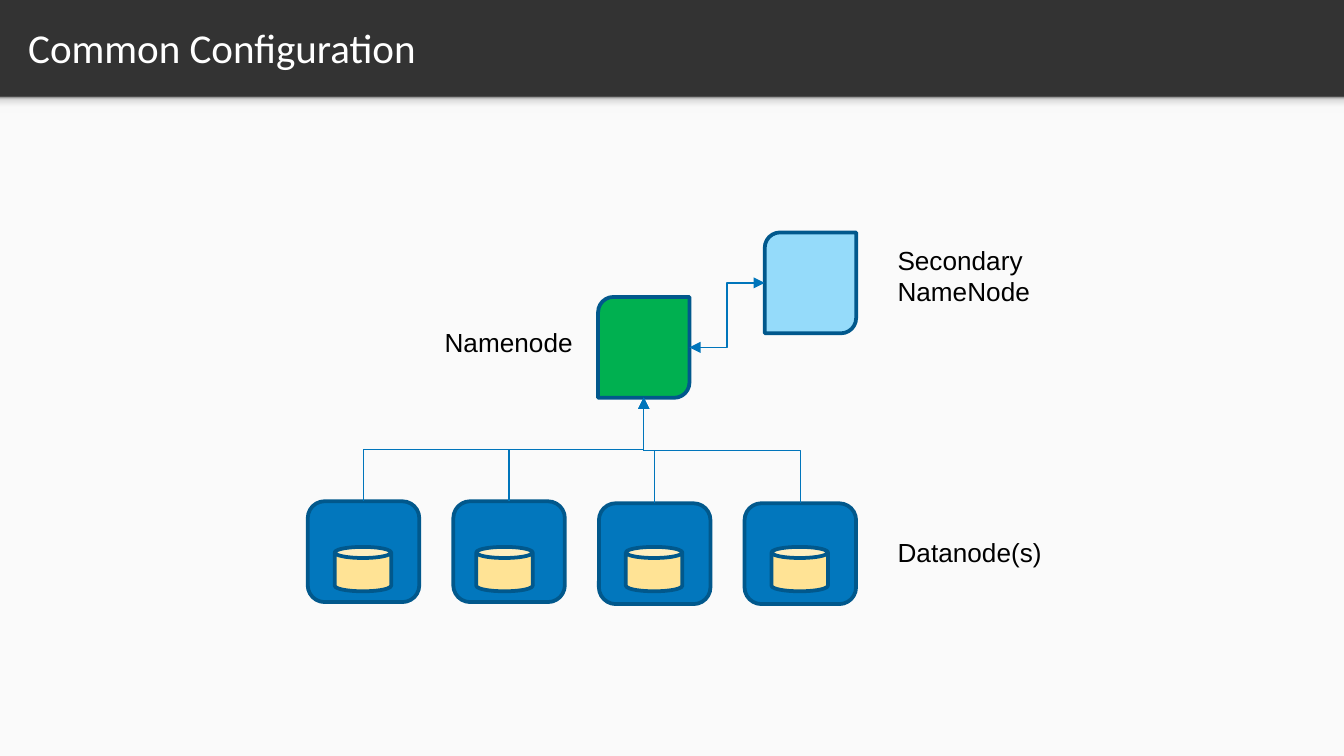
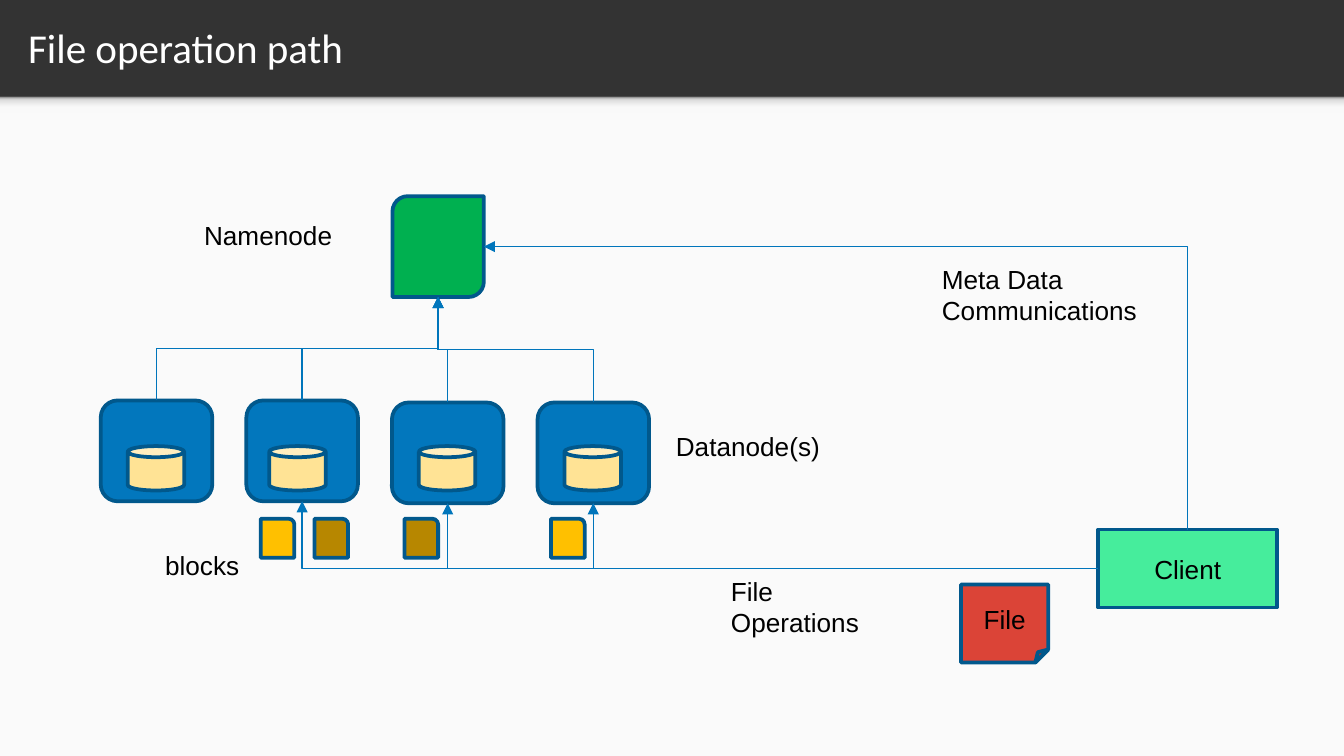
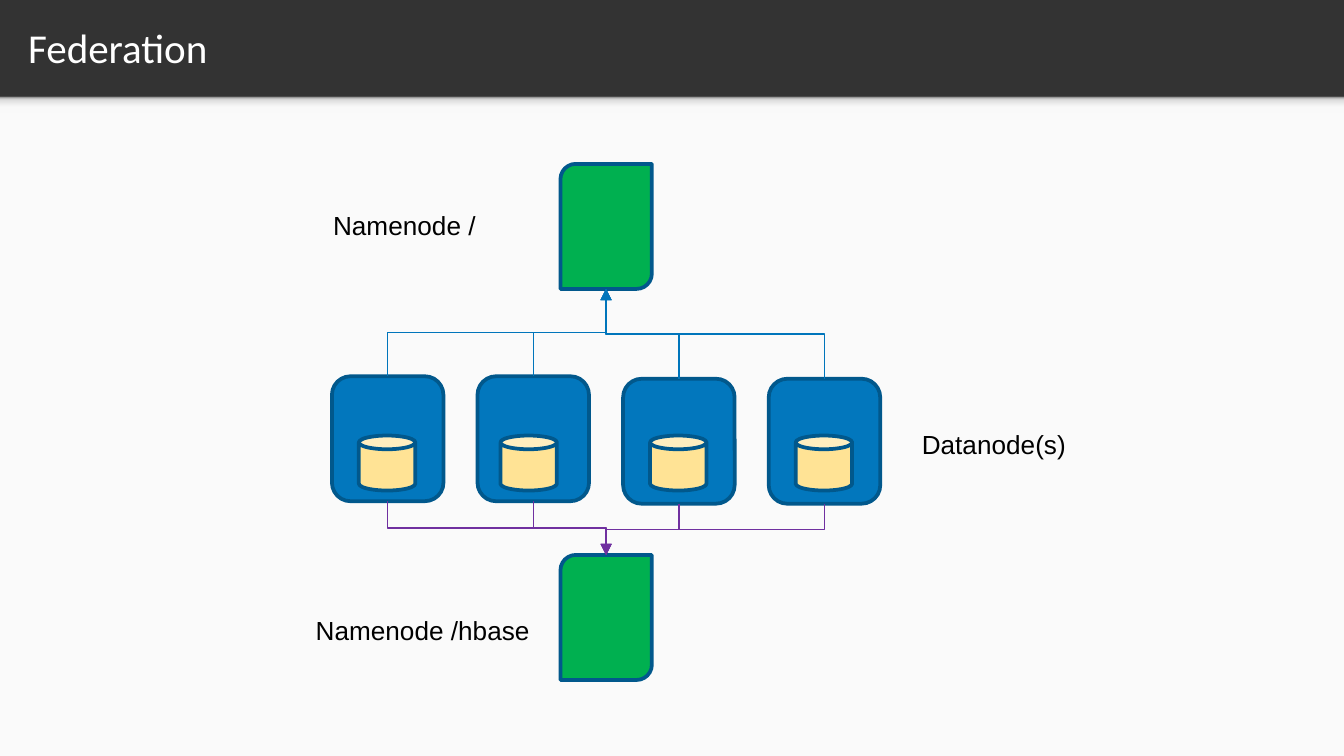
"""Build three slides on the layout of name nodes and data nodes."""
from lxml import etree
from pptx import Presentation
from pptx import util as u
from pptx.dml.color import RGBColor
from pptx.enum import shapes, text
from pptx.oxml.ns import qn

DARK = RGBColor(0x33, 0x33, 0x33)
PAPER = RGBColor(0xFA, 0xFA, 0xFA)
WHITE = RGBColor(0xFF, 0xFF, 0xFF)
BLACK = RGBColor(0, 0, 0)
OUTLINE = RGBColor(0x01, 0x58, 0x8C)
NODE_BLUE = RGBColor(0x02, 0x77, 0xBD)
LINK_BLUE = RGBColor(0x00, 0x75, 0xBB)
LINK_PURPLE = RGBColor(0x70, 0x30, 0xA0)
NAME_GREEN = RGBColor(0x00, 0xB0, 0x50)
PALE_BLUE = RGBColor(0x95, 0xDB, 0xFA)
DISK = RGBColor(0xFF, 0xE3, 0x95)
AMBER = RGBColor(0xFF, 0xC0, 0x00)
BROWN = RGBColor(0xB7, 0x87, 0x00)
FILE_RED = RGBColor(0xDB, 0x44, 0x37)
CLIENT_GREEN = RGBColor(0x46, 0xED, 0x9C)
SHADE_STOPS = [(0, "F9F9F9"), (36, "F9F9F9"), (80, "DEDEDE"), (100, "999999")]

WIDTH = 10
HEIGHT = WIDTH * 9 / 16
BAND = 0.72
NODE_WIDTH, NODE_PITCH, NAME_WIDTH = 0.83, 3.25 / 3, 0.68
DISK_WIDTH, DISK_OFFSETS = 0.42, (0.2, 0.17, 0.2, 0.2)
LINE_HEIGHTS = {1: 0.34, 2: 0.57}

KINDS = shapes.MSO_SHAPE
TITLE_FONT = {"name": "Calibri", "size": u.Pt(22)}
LABEL_FONT = {"name": "Arial", "size": u.Pt(14)}
SIDES = {"top": (0.5, 0), "left": (0, 0.5), "bottom": (0.5, 1), "right": (1, 0.5)}
SITES = ["top", "left", "bottom", "right"]
DIAGONAL_SITES = ["right", "bottom", "left", "top"]

PAGES = [
    {
        "title": "Common Configuration",
        "nodes": (2.29, 3.73, 0.75),
        "names": [(4.45, 2.21, "bottom", LINK_BLUE)],
        "secondary": (5.69, 1.73),
        "labels": [
            ("Namenode", 3.21, 2.38, 1.17, 1, True),
            ("Datanode(s)", 6.58, 3.94, 1.42, 1, True),
            ("Secondary NameNode", 6.58, 1.77, 1.67, 2, True),
        ],
    },
    {
        "title": "File operation path",
        "nodes": (0.75, 2.98, 0.75),
        "names": [(2.92, 1.46, "bottom", LINK_BLUE)],
        "client": (8.17, 3.94, 1.33, 0.58),
        "file": (7.15, 4.35, 0.65, 0.58),
        "blocks": [(1.94, AMBER), (2.34, BROWN), (3.01, BROWN), (4.1, AMBER)],
        "labels": [
            ("Namenode", 1.42, 1.58, 1.67, 1, True),
            ("Datanode(s)", 4.93, 3.15, 1.42, 1, True),
            ("Client", 8.49, 4.07, 0.7, 1, False),
            ("Meta Data\nCommunications", 6.91, 1.91, 1.66, 2, False),
            ("File", 7.22, 4.44, 0.52, 1, False),
            ("File Operations", 5.34, 4.23, 1.34, 2, True),
            ("blocks", 1.13, 4.04, 1.08, 1, True),
        ],
    },
    {
        "title": "Federation",
        "nodes": (2.47, 2.8, 0.93),
        "names": [
            (4.17, 1.22, "bottom", LINK_BLUE),
            (4.17, 4.13, "top", LINK_PURPLE),
        ],
        "labels": [
            ("Namenode /", 2.38, 1.51, 1.67, 1, True),
            ("Datanode(s)", 6.76, 3.14, 1.42, 1, True),
            ("Namenode /hbase", 2.25, 4.52, 1.92, 1, True),
        ],
    },
]


def inches(*lengths):
    return [u.Inches(length) for length in lengths]


def apply_format(target, values):
    for name, value in values.items():
        setattr(target, name, value)


def write(para, words, font, colour):
    para.text = words
    for span in para.runs:
        apply_format(span.font, font)
        span.font.color.rgb = colour


def add_box(page, kind, place, colour, outlined=True):
    box = page.shapes.add_shape(kind, *inches(*place))
    box.shadow.inherit = False
    box.fill.solid()
    box.fill.fore_color.rgb = colour
    if outlined:
        box.line.color.rgb = OUTLINE
        box.line.width = u.Pt(2)
    else:
        box.line.fill.background()
    return box


def add_label(page, words, left, top, width, lines, wrap):
    box = page.shapes.add_textbox(*inches(left, top, width, LINE_HEIGHTS[lines]))
    apply_format(box.text_frame, {
        "word_wrap": wrap, "auto_size": text.MSO_AUTO_SIZE.SHAPE_TO_FIT_TEXT})
    write(box.text_frame.paragraphs[0], words, LABEL_FONT, BLACK)


def side_point(box, side):
    across, down = SIDES[side]
    return int(box.left + box.width * across), int(box.top + box.height * down)


def site_number(box, side):
    diagonal = box.auto_shape_type == KINDS.ROUND_2_DIAG_RECTANGLE
    return (DIAGONAL_SITES if diagonal else SITES).index(side)


def add_link(page, start, start_side, end, end_side, colour, ends=("tailEnd",)):
    x1, y1 = side_point(start, start_side)
    x2, y2 = side_point(end, end_side)
    link = page.shapes.add_connector(shapes.MSO_CONNECTOR.ELBOW, x1, y1, x2, y2)
    link.begin_connect(start, site_number(start, start_side))
    link.end_connect(end, site_number(end, end_side))
    upright = start_side in ("top", "bottom")
    parallel = upright == (end_side in ("top", "bottom"))
    width, height = abs(x2 - x1), abs(y2 - y1)
    flips = x2 < x1, y2 < y1
    if upright:
        width, height = height, width
        flips = y2 < y1, x2 > x1
    apply_format(link, {
        "left": (x1 + x2 - width) // 2, "top": (y1 + y2 - height) // 2,
        "width": width, "height": height})
    props = link._element.spPr
    apply_format(props.xfrm, {
        "flipH": flips[0], "flipV": flips[1], "rot": 90 if upright else 0})
    props.find(qn("a:prstGeom")).set(
        "prst", "bentConnector3" if parallel else "bentConnector2")
    link.line.color.rgb = colour
    link.line.width = u.Pt(0.75)
    for name in ends:
        etree.SubElement(props.find(qn("a:ln")), qn("a:" + name), type="triangle")
    etree.SubElement(props, qn("a:effectLst"))


def add_nodes(page, left, top, height):
    nodes = []
    disk_height = 0.44 * height
    disk_top = top + height - disk_height - 0.08
    for column, offset in enumerate(DISK_OFFSETS):
        x = left + column * NODE_PITCH
        drop = 0.02 * height * (column // 2)
        nodes.append(add_box(page, KINDS.ROUNDED_RECTANGLE,
                             (x, top + drop, NODE_WIDTH, height), NODE_BLUE))
        add_box(page, KINDS.CAN, (x + offset, disk_top, DISK_WIDTH, disk_height), DISK)
    return nodes


def add_client(page, content, name, nodes):
    client = add_box(page, KINDS.RECTANGLE, content["client"], CLIENT_GREEN)
    add_box(page, KINDS.FOLDED_CORNER, content["file"], FILE_RED)
    add_link(page, client, "top", name, "right", LINK_BLUE)
    for node in nodes[1:]:
        add_link(page, client, "left", node, "bottom", LINK_BLUE)
    for left, colour in content["blocks"]:
        add_box(page, KINDS.ROUND_1_RECTANGLE, (left, 3.86, 0.25, 0.29), colour)


def add_diagram(page, content):
    nodes = add_nodes(page, *content["nodes"])
    height = content["nodes"][2]
    for left, top, side, colour in content["names"]:
        name = add_box(page, KINDS.ROUND_2_DIAG_RECTANGLE,
                       (left, top, NAME_WIDTH, height), NAME_GREEN)
        facing = "top" if side == "bottom" else "bottom"
        for node in nodes:
            add_link(page, node, facing, name, side, colour)
    if "secondary" in content:
        second = add_box(page, KINDS.ROUND_2_DIAG_RECTANGLE,
                         (*content["secondary"], NAME_WIDTH, height), PALE_BLUE)
        add_link(page, name, "right", second, "left", LINK_BLUE, ("headEnd", "tailEnd"))
    if "client" in content:
        add_client(page, content, name, nodes)
    for label in content["labels"]:
        add_label(page, *label)


def style_master(deck, page):
    master = deck.slide_master
    master.background.fill.solid()
    master.background.fill.fore_color.rgb = DARK
    panel = add_box(page, KINDS.RECTANGLE, (0, BAND, WIDTH, HEIGHT - BAND), PAPER, False)
    shade = add_box(page, KINDS.RECTANGLE, (0, BAND, WIDTH, 0.12), PAPER, False)
    shade.fill.gradient()
    shade.fill.gradient_angle = 90
    stops = shade._element.spPr.find(qn("a:gradFill")).find(qn("a:gsLst"))
    for stop in list(stops):
        stops.remove(stop)
    for share, colour in SHADE_STOPS:
        stop = etree.SubElement(stops, qn("a:gs"), pos=str(share * 1000))
        etree.SubElement(stop, qn("a:srgbClr"), val=colour)
    for position, box in enumerate((panel, shade), 2):
        master.shapes._spTree.insert(position, box._element)


def add_title(page, words):
    title = page.shapes.title
    place = inches(0.11, 0.02, 9.65, 0.66)
    apply_format(title, dict(zip(("left", "top", "width", "height"), place)))
    frame = title.text_frame
    margins = ("margin_left", "margin_top", "margin_right", "margin_bottom")
    apply_format(frame, dict.fromkeys(margins, u.Inches(0.1)))
    apply_format(frame, {"vertical_anchor": text.MSO_ANCHOR.MIDDLE,
                         "auto_size": text.MSO_AUTO_SIZE.NONE, "word_wrap": True})
    frame.paragraphs[0].alignment = text.PP_ALIGN.LEFT
    write(frame.paragraphs[0], words, TITLE_FONT, WHITE)


def main():
    deck = Presentation()
    deck.slide_width, deck.slide_height = inches(WIDTH, HEIGHT)
    for number, content in enumerate(PAGES):
        page = deck.slides.add_slide(deck.slide_layouts[5])
        if number == 0:
            style_master(deck, page)
        add_title(page, content["title"])
        add_diagram(page, content)
    deck.save("out.pptx")


if __name__ == "__main__":
    main()
